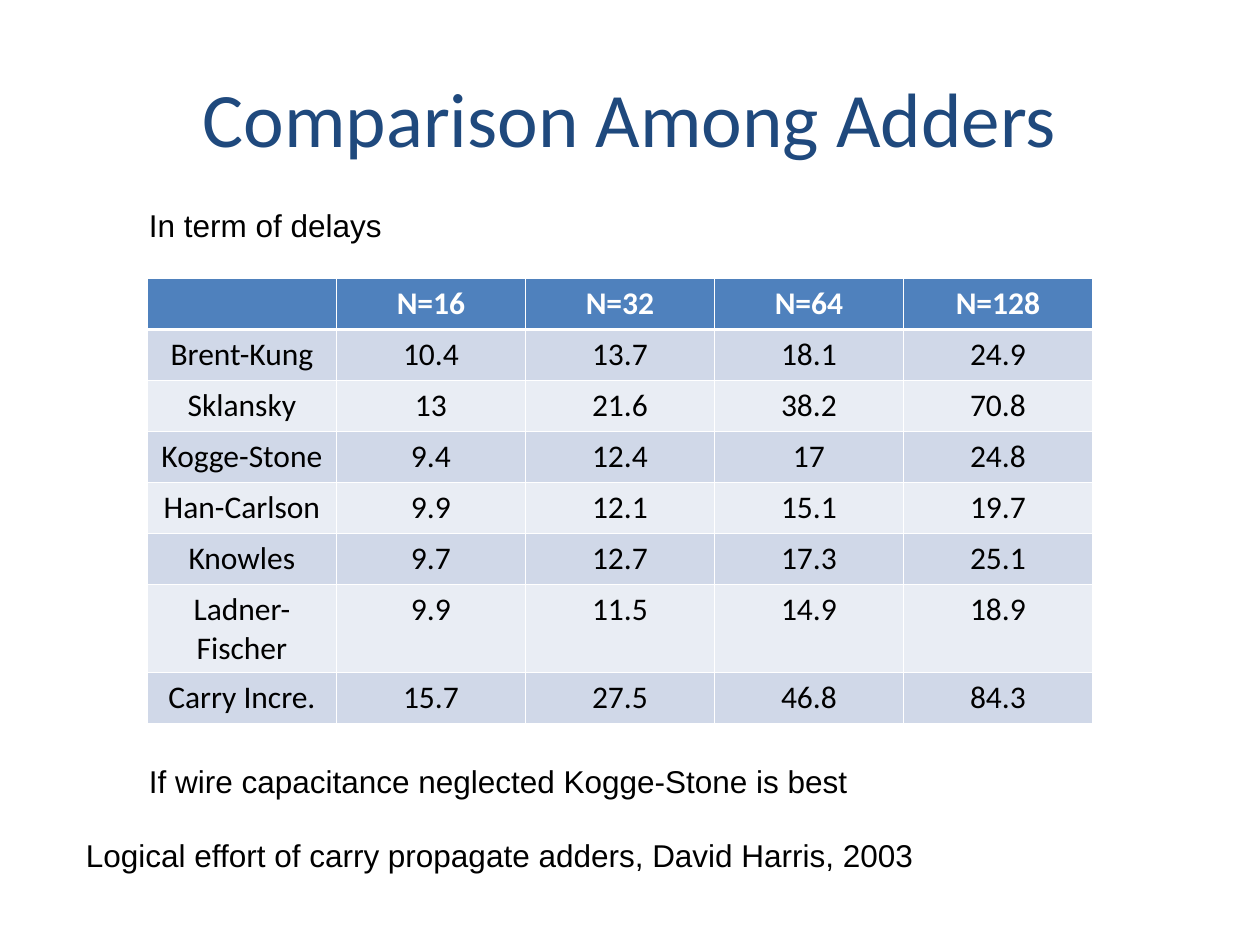
"""Build a slide that compares the delays of parallel-prefix adders."""
from lxml import etree
from pptx import Presentation
from pptx.dml.color import RGBColor
from pptx.enum.text import MSO_ANCHOR, PP_ALIGN
from pptx.oxml.ns import qn
from pptx.util import Pt

LEFT, CENTER = PP_ALIGN.LEFT, PP_ALIGN.CENTER
TOP, MIDDLE = MSO_ANCHOR.TOP, MSO_ANCHOR.MIDDLE
BLANK_LAYOUT = 6

NAVY = RGBColor(0x1F, 0x49, 0x7D)
BLUE = RGBColor(0x4F, 0x81, 0xBD)
BAND_DARK = RGBColor(0xD0, 0xD8, 0xE8)
BAND_LIGHT = RGBColor(0xE9, 0xED, 0xF4)
WHITE = RGBColor(0xFF, 0xFF, 0xFF)
BLACK = RGBColor(0x00, 0x00, 0x00)

TITLE_FONT = {"name": "Calibri", "size": Pt(44), "color": NAVY}
NOTE_FONT = {"name": "Arial", "size": Pt(18), "color": BLACK}
HEADER_FONT = {"name": "Calibri", "size": Pt(18), "color": WHITE, "bold": True}
BODY_FONT = {"name": "Calibri", "size": Pt(18), "color": BLACK, "bold": False}

THIN, THICK = 0.45, 1.47
COLUMN_WIDTH, ROW_HEIGHT, WRAPPED_HEIGHT = 108, 29.16, 50.4
WRAPPED_NAME = "Ladner-Fischer"

DELAYS = [
    ["", "N=16", "N=32", "N=64", "N=128"],
    ["Brent-Kung", "10.4", "13.7", "18.1", "24.9"],
    ["Sklansky", "13", "21.6", "38.2", "70.8"],
    ["Kogge-Stone", "9.4", "12.4", "17", "24.8"],
    ["Han-Carlson", "9.9", "12.1", "15.1", "19.7"],
    ["Knowles", "9.7", "12.7", "17.3", "25.1"],
    [WRAPPED_NAME, "9.9", "11.5", "14.9", "18.9"],
    ["Carry Incre.", "15.7", "27.5", "46.8", "84.3"],
]

NOTES = [
    ("Logical effort of carry propagate adders, David Harris, 2003", 42, 474, 642),
    ("In term of delays", 78, 114, 546),
    ("If wire capacitance neglected Kogge-Stone is best", 78, 432, 564),
]


def write_text(tf, text, font, align):
    p = tf.paragraphs[0]
    p.alignment = align
    r = p.add_run()
    r.text = text
    for key, value in font.items():
        if key == "color":
            r.font.color.rgb = value
        else:
            setattr(r.font, key, value)


def add_text(s, text, box, font, align=LEFT, anchor=TOP):
    tf = s.shapes.add_textbox(*map(Pt, box)).text_frame
    tf.word_wrap = True
    tf.vertical_anchor = anchor
    write_text(tf, text, font, align)


def set_borders(cell, widths):
    tc_pr = cell._tc.get_or_add_tcPr()
    for side, width in widths.items():
        ln = etree.SubElement(tc_pr, qn(f"a:ln{side}"), w=str(Pt(width)))
        fill = etree.SubElement(ln, qn("a:solidFill"))
        etree.SubElement(fill, qn("a:srgbClr"), val=str(WHITE))


def style_cell(cell, text, row):
    set_borders(cell, {
        "L": THIN,
        "R": THIN,
        "T": THICK if row == 1 else THIN,
        "B": THICK if row == 0 else THIN,
    })
    cell.fill.solid()
    band = BAND_DARK if row % 2 else BAND_LIGHT
    cell.fill.fore_color.rgb = band if row else BLUE
    write_text(cell.text_frame, text, BODY_FONT if row else HEADER_FONT, CENTER)


def add_delay_table(s, left, top):
    heights = [WRAPPED_HEIGHT if row[0] == WRAPPED_NAME else ROW_HEIGHT for row in DELAYS]
    columns = len(DELAYS[0])
    size = (COLUMN_WIDTH * columns, sum(heights))
    table = s.shapes.add_table(
        len(DELAYS), columns, *map(Pt, (left, top, *size))).table
    for column in table.columns:
        column.width = Pt(COLUMN_WIDTH)
    for i, values in enumerate(DELAYS):
        table.rows[i].height = Pt(heights[i])
        for j, text in enumerate(values):
            style_cell(table.cell(i, j), text, i)


def main():
    prs = Presentation()
    prs.slide_width, prs.slide_height = Pt(720), Pt(540)
    s = prs.slides.add_slide(prs.slide_layouts[BLANK_LAYOUT])
    add_text(s, "Comparison Among Adders", (36, 21.6, 648, 90), TITLE_FONT, CENTER, MIDDLE)
    add_delay_table(s, 84.24, 159.12)
    for text, left, top, width in NOTES:
        add_text(s, text, (left, top, width, 28.8), NOTE_FONT)
    prs.save("out.pptx")


if __name__ == "__main__":
    main()
